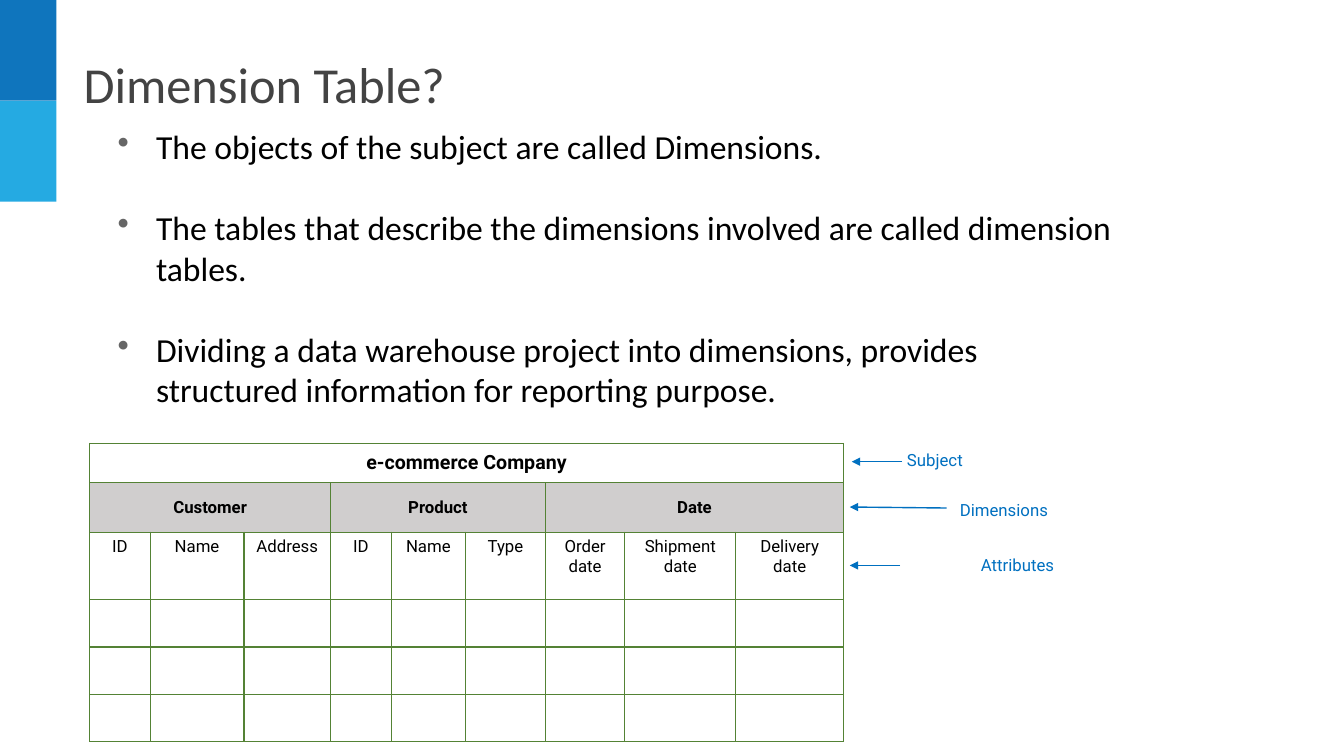
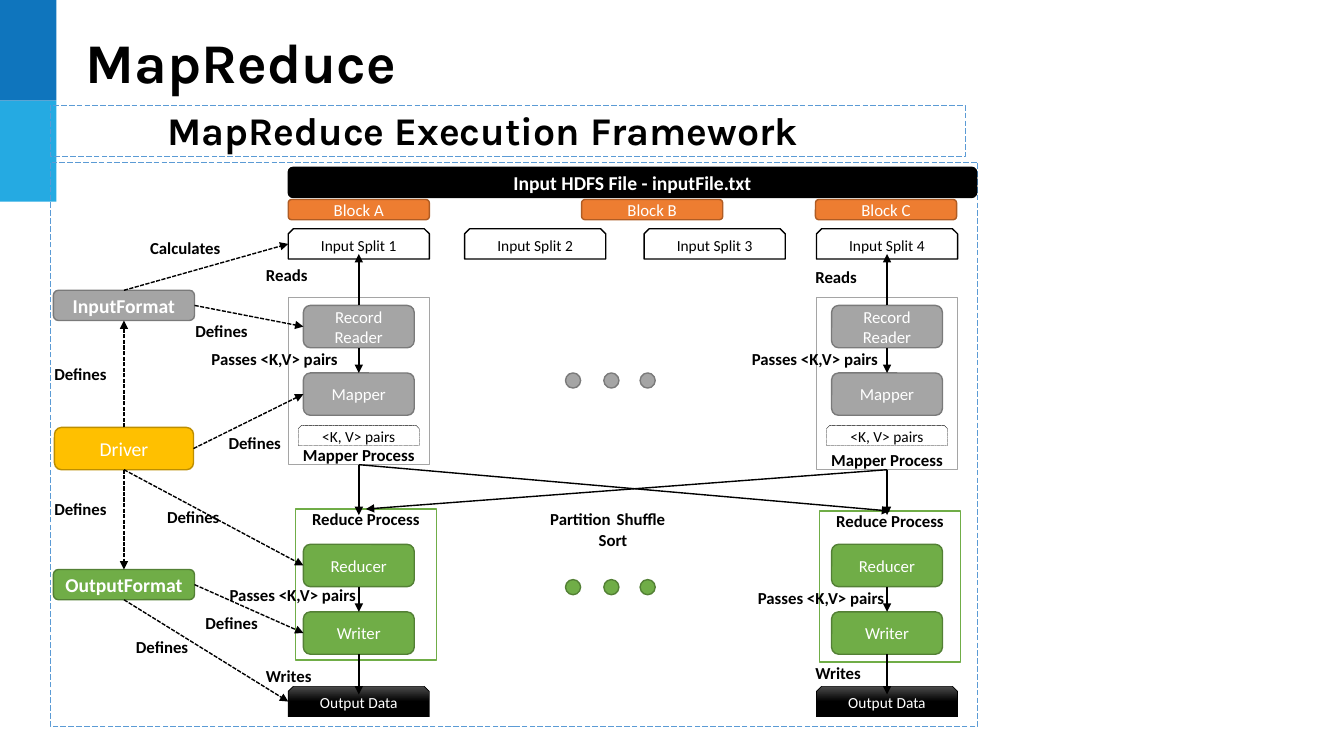
from lxml import etree
from pptx import Presentation, util as u
from pptx.dml.color import RGBColor
from pptx.enum import dml, shapes, text
from pptx.oxml.ns import qn

CELL = u.Inches(0.1)
COLUMNS, ROWS = 133.33, 75

BLACK, WHITE = RGBColor(0, 0, 0), RGBColor(255, 255, 255)
DARK_GREY, BULLET_GREY = RGBColor(0x43, 0x43, 0x43), RGBColor(0x66, 0x66, 0x66)
BAND_DARK, BAND_LIGHT = RGBColor(0x0F, 0x75, 0xBD), RGBColor(0x25, 0xAA, 0xE2)
NOTE_BLUE, FRAME_BLUE = RGBColor(0x00, 0x70, 0xC0), RGBColor(0x5B, 0x9B, 0xD5)
GRID_GREEN, HEADER_GREY = RGBColor(0x54, 0x82, 0x35), RGBColor(0xD0, 0xCE, 0xCE)
GREEN, GREEN_EDGE = RGBColor(0x70, 0xAD, 0x47), RGBColor(0x53, 0x80, 0x35)
GREY, GREY_EDGE = RGBColor(0xA5, 0xA5, 0xA5), RGBColor(0x7A, 0x7A, 0x7A)
ORANGE, ORANGE_EDGE = RGBColor(0xED, 0x7D, 0x31), RGBColor(0xAF, 0x5C, 0x24)
YELLOW, YELLOW_EDGE = RGBColor(0xFF, 0xC0, 0x00), RGBColor(0xBD, 0x8E, 0x00)
SHINE = RGBColor(0x4B, 0x4B, 0x4B)

RECT = shapes.MSO_SHAPE.RECTANGLE
ROUND = shapes.MSO_SHAPE.ROUNDED_RECTANGLE
SNIP = shapes.MSO_SHAPE.SNIP_2_SAME_RECTANGLE
OVAL = shapes.MSO_SHAPE.OVAL
SHORT_DASH, LONG_DASH = dml.MSO_LINE.SQUARE_DOT, dml.MSO_LINE.LONG_DASH
LEFT, CENTER = text.PP_ALIGN.LEFT, text.PP_ALIGN.CENTER
TOP, MIDDLE, BOTTOM = (text.MSO_ANCHOR.TOP, text.MSO_ANCHOR.MIDDLE,
                       text.MSO_ANCHOR.BOTTOM)
TOP_SIDE, LEFT_SIDE, BOTTOM_SIDE, RIGHT_SIDE = range(4)

STATEMENTS = [
    "The objects of the subject are called Dimensions.",
    "The tables that describe the dimensions involved are called dimension tables.",
    "Dividing a data warehouse project into dimensions, provides structured "
    "information for reporting purpose.",
]
DIMENSIONS = {
    "Customer": ["ID", "Name", "Address"],
    "Product": ["ID", "Name", "Type"],
    "Date": ["Order date", "Shipment date", "Delivery date"],
}
ATTRIBUTE_WIDTHS = [6, 9.3, 8.6, 6, 7.4, 7.9, 7.9, 11, 10.7]
RECORD_HEIGHTS = [3.9, 4.9, 6.7, 4.7, 4.7, 4.7]
NOTES = [
    ("Subject", (83.9, 44.1, 17.7, 3), (89.5, 45.8), (84.5, 45.8)),
    ("Dimensions", (91.6, 49.1, 16, 3), (93.9, 50.4), (84.3, 50.3)),
    ("Attributes", (92.1, 54.5, 17.7, 3), (89.3, 56.1), (84.3, 56.1)),
]
FLOW_LABELS = {
    "Reads": [(25.4, 25.8), (79.9, 26)],
    "Writes": [(25.4, 65.6), (79.9, 65.3)],
    "Passes <K,V> pairs": [(20, 34.1), (73.6, 34.1), (21.8, 57.5), (74.2, 57.8)],
    "Calculates": [(13.9, 23.1)],
    "Defines": [(4.4, 35.6), (4.4, 49), (15.6, 49.8), (18.4, 31.3),
                (21.7, 42.4), (12.5, 62.7), (19.4, 60.3)],
    "Partition": [(53.6, 50)],
    "Shuffle": [(60.2, 50)],
    "Sort": [(58.4, 52.1)],
}
FORMAT_AXIS = 12.3


def cells(*counts):
    """Turn counts of grid cells into lengths."""
    return [round(count * CELL) for count in counts]


def write(frame, *paragraphs, size=12, font="Calibri", color=BLACK, bold=False,
          align=CENTER, anchor=TOP, margins=(1, 0.5), wrap=True,
          spacing=None, after=None):
    """Fill a text frame with formatted paragraphs."""
    frame.word_wrap = wrap
    frame.auto_size = text.MSO_AUTO_SIZE.NONE
    frame.vertical_anchor = anchor
    frame.margin_left, frame.margin_top = cells(*margins)
    frame.margin_right, frame.margin_bottom = cells(*margins)
    for index, words in enumerate(paragraphs):
        paragraph = frame.add_paragraph() if index else frame.paragraphs[0]
        paragraph.alignment = align
        if spacing:
            paragraph.line_spacing = spacing
        if after:
            paragraph.space_after = u.Pt(after)
        run = paragraph.add_run()
        run.text = words
        run.font.size, run.font.name, run.font.bold = u.Pt(size), font, bold
        run.font.color.rgb = color


def add_text(slide, at, *paragraphs, **style):
    """Add a text box and return its frame."""
    frame = slide.shapes.add_textbox(*cells(*at)).text_frame
    write(frame, *paragraphs, **style)
    return frame


def add_box(slide, at, words="", kind=RECT, fill=None, edge=None, width=1,
            dash=None, **style):
    """Add a preset shape with optional fill, outline and text."""
    box = slide.shapes.add_shape(kind, *cells(*at))
    box.shadow.inherit = False
    if fill is None:
        box.fill.background()
    else:
        box.fill.solid()
        box.fill.fore_color.rgb = fill
    if edge is None:
        box.line.fill.background()
    else:
        box.line.color.rgb = edge
        box.line.width = u.Pt(width)
        if dash:
            box.line.dash_style = dash
    if words:
        write(box.text_frame, words, **{"anchor": MIDDLE, "color": WHITE, **style})
    return box


def add_arrow(slide, begin, end, color=BLACK, dash=None):
    """Draw an arrow between grid points or (shape, side) pairs."""
    joined = [hasattr(stop[0], "shape_type") for stop in (begin, end)]
    points = [(0, 0) if tied else stop for tied, stop in zip(joined, (begin, end))]
    arrow = slide.shapes.add_connector(
        shapes.MSO_CONNECTOR.STRAIGHT, *cells(*points[0], *points[1]))
    if joined[0]:
        arrow.begin_connect(*begin)
    if joined[1]:
        arrow.end_connect(*end)
    arrow.line.color.rgb = color
    arrow.line.width = u.Pt(1)
    if dash:
        arrow.line.dash_style = dash
    etree.SubElement(arrow.line._get_or_add_ln(), qn("a:tailEnd"), type="triangle")
    etree.SubElement(arrow._element.spPr, qn("a:effectLst"))


def add_slide(deck, title, at, **style):
    """Add a title-only slide with the two side bands."""
    slide = deck.slides.add_slide(deck.slide_layouts[5])
    for row, color in enumerate((BAND_DARK, BAND_LIGHT)):
        add_box(slide, (0, row * 10, 5.6, 10), fill=color)
    heading = slide.shapes.title
    heading.left, heading.top, heading.width, heading.height = cells(*at)
    write(heading.text_frame, title, align=LEFT, **style)
    return slide


def add_bullets(frame):
    """Give every paragraph a hanging grey bullet."""
    for paragraph in frame.paragraphs:
        properties = paragraph._p.get_or_add_pPr()
        indent = cells(3.8)[0]
        properties.set("marL", str(indent))
        properties.set("indent", str(-indent))
        color = etree.SubElement(properties, qn("a:buClr"))
        etree.SubElement(color, qn("a:srgbClr"), val=str(BULLET_GREY))
        etree.SubElement(properties, qn("a:buChar"), char="•")


def format_cell(cell, fill=None):
    """Draw the four borders of a cell and set its fill."""
    properties = cell._tc.get_or_add_tcPr()
    for side in ("lnL", "lnR", "lnT", "lnB"):
        border = etree.SubElement(properties, qn(f"a:{side}"), w=str(u.Pt(1)))
        solid = etree.SubElement(border, qn("a:solidFill"))
        etree.SubElement(solid, qn("a:srgbClr"), val=str(GRID_GREEN))
    if fill is None:
        cell.fill.background()
    else:
        cell.fill.solid()
        cell.fill.fore_color.rgb = fill


def write_cell(cell, words, anchor=MIDDLE, **style):
    """Write centred text into a table cell."""
    cell.vertical_anchor = anchor
    paragraph = cell.text_frame.paragraphs[0]
    paragraph.alignment = CENTER
    run = paragraph.add_run()
    run.text = words
    run.font.name, run.font.color.rgb = "Roboto", BLACK
    run.font.size, run.font.bold = u.Pt(style.get("size", 12)), style.get("bold", False)


def add_company_table(slide):
    """Build the table of subject, dimensions and attributes."""
    at = (8.9, 44, sum(ATTRIBUTE_WIDTHS), sum(RECORD_HEIGHTS))
    table = slide.shapes.add_table(
        len(RECORD_HEIGHTS), len(ATTRIBUTE_WIDTHS), *cells(*at)).table
    table.first_row = table.horz_banding = False
    for column, width in zip(table.columns, cells(*ATTRIBUTE_WIDTHS)):
        column.width = width
    for row, height in zip(table.rows, cells(*RECORD_HEIGHTS)):
        row.height = height
    for row in range(len(RECORD_HEIGHTS)):
        for column in range(len(ATTRIBUTE_WIDTHS)):
            format_cell(table.cell(row, column), HEADER_GREY if row == 1 else None)
    table.cell(0, 0).merge(table.cell(0, len(ATTRIBUTE_WIDTHS) - 1))
    write_cell(table.cell(0, 0), "e-commerce Company", size=14, bold=True)
    first = 0
    for dimension, attributes in DIMENSIONS.items():
        table.cell(1, first).merge(table.cell(1, first + len(attributes) - 1))
        write_cell(table.cell(1, first), dimension, bold=True)
        for offset, attribute in enumerate(attributes):
            write_cell(table.cell(2, first + offset), attribute, anchor=TOP)
        first += len(attributes)


def build_dimension_slide(deck):
    """Explain dimension tables with an example."""
    slide = add_slide(deck, "Dimension Table?", (7.8, 5, 110, 10), size=36,
                      color=DARK_GREY, margins=(0.5, 0.3))
    add_bullets(add_text(slide, (10.7, 12, 102, 29.3), *STATEMENTS,
                         size=24, align=LEFT, after=29.3))
    add_company_table(slide)
    for words, at, begin, end in NOTES:
        add_text(slide, at, words, font="Roboto", color=NOTE_BLUE)
        add_arrow(slide, begin, end, NOTE_BLUE)


def add_worker(slide, axis, mapper_height, reduce_left, reduce_top):
    """Stack one mapper and reducer column and return its parts."""
    def stage(words, top, fill, edge):
        return add_box(slide, (axis - 5.5, top, 11, 4.2), words, ROUND, fill, edge)

    caption = dict(fill=WHITE, color=BLACK, bold=True, margins=(1, 0))
    reducing = add_box(slide, (reduce_left, reduce_top, 14, 15), "Reduce Process",
                       edge=GREEN, anchor=TOP, **caption)
    mapping = add_box(slide, (axis - 7, 29.5, 14, mapper_height), "Mapper Process",
                      edge=GREY, anchor=BOTTOM, **caption)
    reader = stage("Record Reader", 30.3, GREY, GREY_EDGE)
    mapper = stage("Mapper", 37, GREY, GREY_EDGE)
    reducer = stage("Reducer", 54, GREEN, GREEN_EDGE)
    writer = stage("Writer", 60.7, GREEN, GREEN_EDGE)
    add_box(slide, (axis - 6, 42.2, 12, 2), "<K, V> pairs", SNIP, WHITE, BLACK,
            width=0.25, dash=SHORT_DASH, size=11, color=BLACK)
    output = add_box(slide, (axis - 7, 68.1, 14, 3), "Output Data", SNIP, BLACK,
                     BLACK, width=0.5, size=11)
    output.fill.gradient()
    output.fill.gradient_angle = 270
    for stop, color, position in zip(output.fill.gradient_stops, (SHINE, BLACK), (0, 0.5)):
        stop.color.rgb, stop.position = color, position
    for begin, end in [
        ((reader, TOP_SIDE), (axis, 25.2)),
        ((reader, BOTTOM_SIDE), (mapper, TOP_SIDE)),
        ((mapping, BOTTOM_SIDE), (axis, 51.1)),
        ((reducer, BOTTOM_SIDE), (writer, TOP_SIDE)),
        ((writer, BOTTOM_SIDE), (axis, 68.9)),
    ]:
        add_arrow(slide, begin, end)
    return mapping, reducing, reader, mapper, reducer, writer


def build_mapreduce_slide(deck):
    """Draw the MapReduce execution framework."""
    slide = add_slide(deck, "MapReduce", (7.5, 3, 85, 8), size=40, font="Karla",
                      bold=True, spacing=0.9)
    for at in ((5, 16.1, 92, 56), (5, 10.5, 90.8, 5)):
        add_box(slide, at, edge=FRAME_BLUE, width=0.5, dash=LONG_DASH)
    add_text(slide, (14.9, 10.1, 66, 5.7), "MapReduce Execution Framework",
             size=28, font="Karla", bold=True, wrap=False)

    add_box(slide, (28.6, 16.6, 68.3, 3), "Input HDFS File - inputFile.txt", ROUND,
            BLACK, BLACK, size=14, bold=True)
    for letter, left in zip("ABC", (28.6, 57.7, 80.9)):
        add_box(slide, (left, 19.8, 14, 2), f"Block {letter}", ROUND, ORANGE, ORANGE_EDGE)
    for number, left in enumerate((28.6, 46.1, 63.9, 81), 1):
        add_box(slide, (left, 22.7, 14, 3), f"Input Split {number}", SNIP, WHITE,
                BLACK, size=11, color=BLACK)

    first = add_worker(slide, 35.6, 16.6, 29.3, 50.5)
    last = add_worker(slide, 88, 17.1, 81.3, 50.7)
    mapping, reducing, reader, mapper, reducer, writer = first
    for source, target in ((mapping, last[1]), (last[0], reducing)):
        add_arrow(slide, (source, BOTTOM_SIDE), (target, TOP_SIDE))
    for top, fill, edge in ((37, GREY, GREY_EDGE), (57.5, GREEN, GREEN_EDGE)):
        for left in (56.1, 59.9, 63.5):
            add_box(slide, (left, top, 1.5, 1.5), kind=OVAL, fill=fill, edge=edge)

    input_format, driver, output_format = [
        add_box(slide, (FORMAT_AXIS - width / 2, top, width, height), words, ROUND,
                fill, edge, size=14, bold=bold)
        for words, top, width, height, fill, edge, bold in (
            ("InputFormat", 28.8, 14, 3, GREY, GREY_EDGE, True),
            ("Driver", 42.4, 13.8, 4.2, YELLOW, YELLOW_EDGE, False),
            ("OutputFormat", 56.5, 14, 3, GREEN, GREEN_EDGE, True))]
    for begin, end in [
        ((driver, TOP_SIDE), (input_format, BOTTOM_SIDE)),
        ((driver, BOTTOM_SIDE), (output_format, TOP_SIDE)),
        ((driver, RIGHT_SIDE), (mapper, LEFT_SIDE)),
        ((driver, BOTTOM_SIDE), (reducer, LEFT_SIDE)),
        ((input_format, TOP_SIDE), (28.6, 24.2)),
        ((input_format, RIGHT_SIDE), (reader, LEFT_SIDE)),
        ((output_format, RIGHT_SIDE), (writer, LEFT_SIDE)),
        ((output_format, BOTTOM_SIDE), (28.6, 69.6)),
    ]:
        add_arrow(slide, begin, end, dash=SHORT_DASH)
    for words, places in FLOW_LABELS.items():
        for left, top in places:
            width = 15 if len(words) > 10 else 10
            add_text(slide, (left, top, width, 3), words, bold=True, align=LEFT)


def main():
    """Build and save the two slides."""
    deck = Presentation()
    deck.slide_width, deck.slide_height = cells(COLUMNS, ROWS)
    build_dimension_slide(deck)
    build_mapreduce_slide(deck)
    deck.save("out.pptx")


if __name__ == "__main__":
    main()
